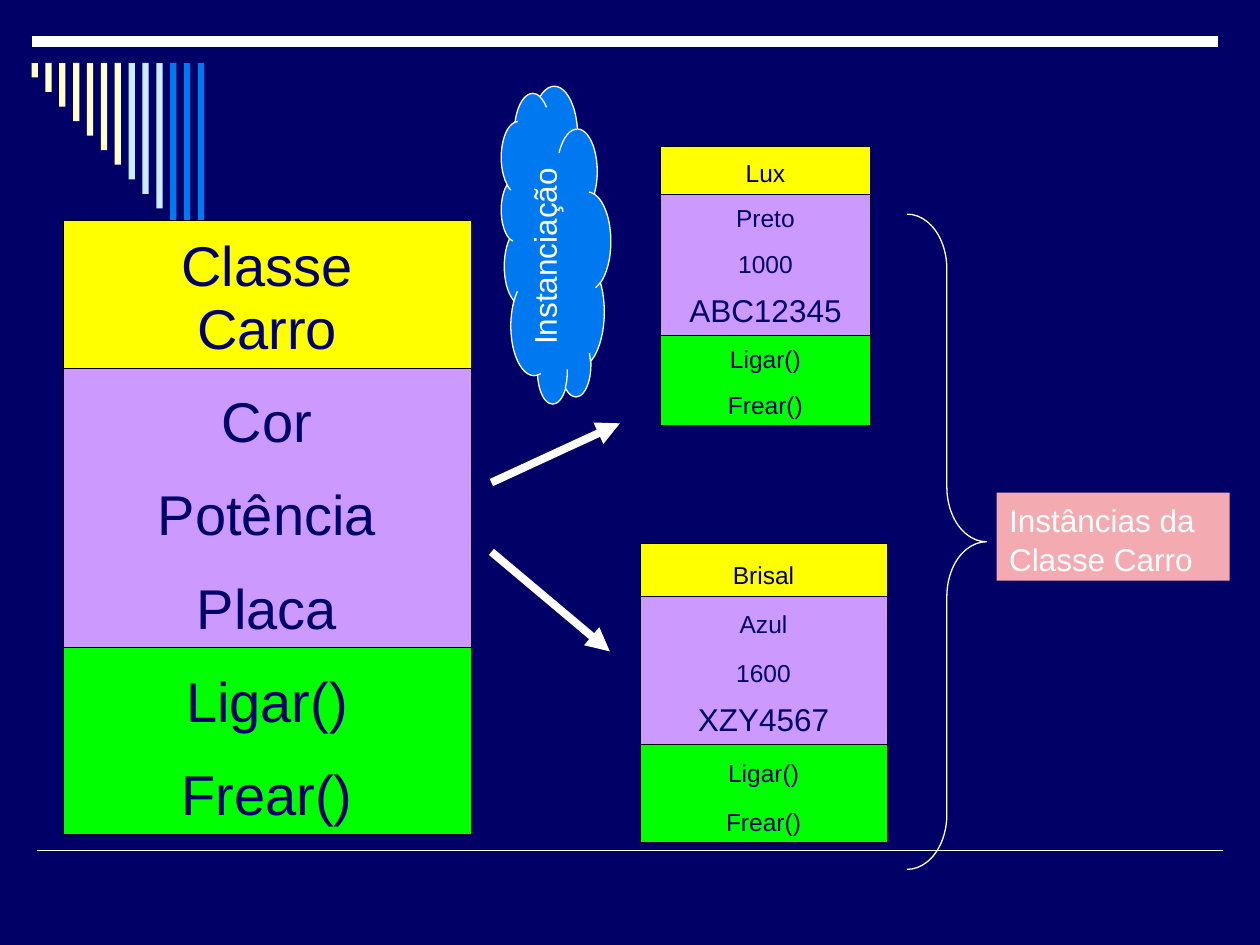
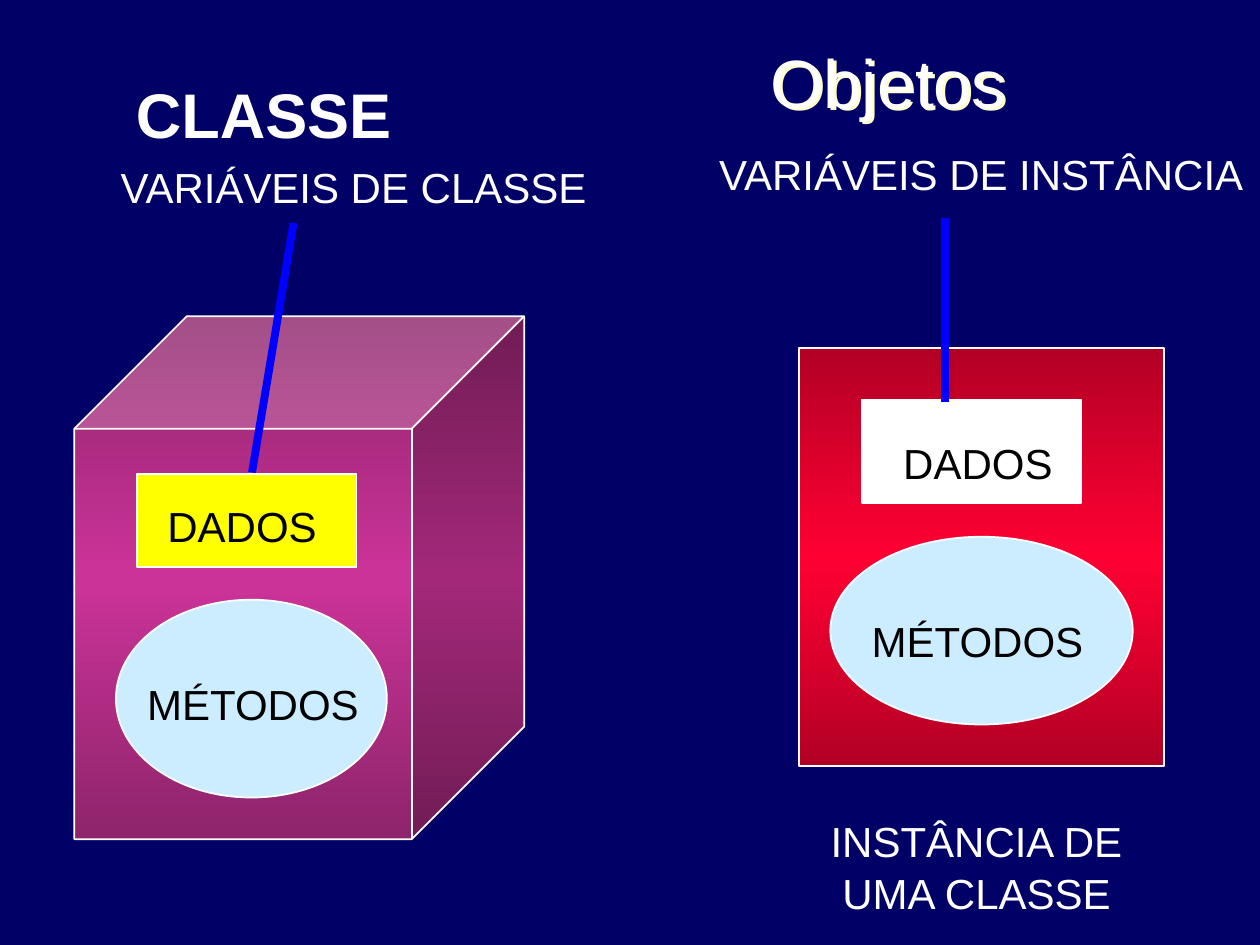
from dataclasses import dataclass

from lxml import etree
from pptx import Presentation
from pptx import util as u
from pptx.dml.color import RGBColor
from pptx.enum import shapes, text
from pptx.oxml import ns

Inches = u.Inches
Preset = shapes.MSO_SHAPE


@dataclass(frozen=True)
class Theme:
    font: str = "Arial"
    navy: str = "000066"
    white: str = "FFFFFF"
    black: str = "000000"
    cream: str = "FFFFCC"
    ice: str = "CCECFF"
    azure: str = "0078F0"
    blue: str = "0000FF"
    yellow: str = "FFFF00"
    lilac: str = "CC99FF"
    green: str = "00FF00"
    pink: str = "F4AAB1"
    magenta: tuple = ("8E246B", "CC3399", "8E246B")
    red: tuple = ("B20024", "FF0033", "B20024")
    title: int = 39
    heading: int = 36
    class_row: int = 32
    label: int = 24
    body: int = 18
    small: int = 14
    thin: float = 1
    hairline: float = 0.75
    thick: float = 4.5


THEME = Theme()


def rgb(value):
    return RGBColor.from_string(value)


def add_xml(parent, tag, **attributes):
    return etree.SubElement(parent, ns.qn(tag), {k: str(v) for k, v in attributes.items()})


def write(frame, content, *, size=THEME.label, color=THEME.white, bold=False,
          align=text.PP_ALIGN.LEFT, anchor=text.MSO_ANCHOR.TOP, wrap=True, spacing=1.05):
    frame.word_wrap = wrap
    frame.vertical_anchor = anchor
    for index, line in enumerate(content.split("\n")):
        paragraph = frame.add_paragraph() if index else frame.paragraphs[0]
        paragraph.alignment = align
        paragraph.line_spacing = spacing
        run = paragraph.add_run()
        run.text = line
        run.font.name = THEME.font
        run.font.size = u.Pt(size)
        run.font.bold = bold
        run.font.color.rgb = rgb(color)


class Deck:
    def __init__(self, theme):
        self.theme = theme
        self.presentation = Presentation()
        self.presentation.slide_width = Inches(10)
        self.presentation.slide_height = Inches(7.5)
        self.slide = None

    def new_slide(self):
        self.slide = self.presentation.slides.add_slide(self.presentation.slide_layouts[6])
        background = self.slide.background.fill
        background.solid()
        background.fore_color.rgb = rgb(self.theme.navy)

    def shape(self, preset, box, fill=None, line=None, weight=THEME.thin):
        item = self.slide.shapes.add_shape(preset, *map(Inches, box))
        item.shadow.inherit = False
        if fill is None:
            item.fill.background()
        elif isinstance(fill, tuple):
            self.gradient(item, fill)
        else:
            item.fill.solid()
            item.fill.fore_color.rgb = rgb(fill)
        if line:
            item.line.color.rgb = rgb(line)
            item.line.width = u.Pt(weight)
        else:
            item.line.fill.background()
        return item

    def gradient(self, item, colors):
        item.fill.gradient()
        item.fill.gradient_angle = 270
        stops = item._element.spPr.find(".//" + ns.qn("a:gsLst"))
        for stop in list(stops):
            stops.remove(stop)
        for index, color in enumerate(colors):
            stop = add_xml(stops, "a:gs", pos=100000 * index // (len(colors) - 1))
            add_xml(stop, "a:srgbClr", val=color)

    def line(self, start, end, color=THEME.white, weight=THEME.thin, arrow=False):
        item = self.slide.shapes.add_connector(
            shapes.MSO_CONNECTOR.STRAIGHT, *map(Inches, start + end))
        item.line.color.rgb = rgb(color)
        item.line.width = u.Pt(weight)
        if arrow:
            add_xml(item.line._get_or_add_ln(), "a:tailEnd", type="triangle")
        add_xml(item._element.spPr, "a:effectLst")

    def label(self, content, box, **style):
        item = self.slide.shapes.add_textbox(*map(Inches, box))
        write(item.text_frame, content, **style)
        return item

    def text_shadow(self, item, color):
        effects = add_xml(item._element.spPr, "a:effectLst")
        shadow = add_xml(effects, "a:outerShdw", dist=Inches(0.03), dir=2700000, algn="ctr")
        add_xml(shadow, "a:srgbClr", val=color)

    def class_card(self, box, heights, sections, sizes):
        rows = [(content, fill, i == 0, i == len(group) - 1)
                for fill, group in sections for i, content in enumerate(group)]
        grid = self.slide.shapes.add_table(len(rows), 1, *map(Inches, box)).table
        grid.first_row = grid.horz_banding = False
        for index, (content, fill, first, last) in enumerate(rows):
            grid.rows[index].height = Inches(heights[index])
            cell = grid.cell(index, 0)
            write(cell.text_frame, content, size=sizes[index], color=self.theme.navy,
                  align=text.PP_ALIGN.CENTER, spacing=1.0)
            cell.vertical_anchor = text.MSO_ANCHOR.BOTTOM
            self.borders(cell, L=True, R=True, T=first, B=last)
            cell.fill.solid()
            cell.fill.fore_color.rgb = rgb(fill)

    def borders(self, cell, **edges):
        properties = cell._tc.get_or_add_tcPr()
        for edge, visible in edges.items():
            border = add_xml(properties, f"a:ln{edge}", w=u.Pt(0.45))
            if visible:
                add_xml(add_xml(border, "a:solidFill"), "a:srgbClr", val=self.theme.black)
            else:
                add_xml(border, "a:noFill")


def frame_slide(deck):
    theme = deck.theme
    deck.line((0.29, 6.75), (9.71, 6.75))
    deck.line((0.25, 0.33), (9.67, 0.33), weight=6)
    bar_colors = [theme.cream] * 7 + [theme.ice] * 3 + [theme.azure] * 3
    for index, color in enumerate(bar_colors):
        height = 1.5 * (index + 1) / len(bar_colors)
        deck.shape(Preset.RECTANGLE, (0.25 + 0.11 * index, 0.5, 0.05, height), color)


def instantiation_slide(deck):
    theme = deck.theme
    deck.new_slide()
    frame_slide(deck)

    instance_sizes = [theme.small] * 3 + [theme.body] + [theme.small] * 2
    cards = [
        ((0.5, 1.75, 3.24, 4.87), [1.17] + [0.74] * 5, "Classe\nCarro",
         ["Cor", "Potência", "Placa"], [theme.class_row] * 6),
        ((5.24, 1.16, 1.67, 2.22), [0.38, 0.36, 0.36, 0.4, 0.36, 0.36], "Lux",
         ["Preto", "1000", "ABC12345"], instance_sizes),
        ((5.08, 4.31, 1.96, 2.4), [0.42, 0.39, 0.39, 0.4, 0.39, 0.39], "Brisal",
         ["Azul", "1600", "XZY4567"], instance_sizes),
    ]
    for box, heights, name, attributes, sizes in cards:
        sections = [(theme.yellow, [name]), (theme.lilac, attributes),
                    (theme.green, ["Ligar()", "Frear()"])]
        deck.class_card(box, heights, sections, sizes)

    deck.line((3.9, 3.83), (4.92, 3.36), weight=theme.thick, arrow=True)
    deck.line((3.9, 4.38), (4.84, 5.17), weight=theme.thick, arrow=True)

    brace = deck.shape(Preset.RIGHT_BRACE, (7.2, 1.7, 0.63, 5.2),
                       line=theme.white, weight=theme.hairline)
    brace.adjustments[0] = 0.69

    instances = deck.shape(Preset.RECTANGLE, (7.91, 3.91, 1.85, 0.7), theme.pink)
    write(instances.text_frame, "Instâncias da Classe Carro", size=theme.body)

    instantiation = deck.shape(Preset.CLOUD, (3.15, 1.51, 2.52, 0.87),
                               theme.azure, theme.white, theme.hairline)
    instantiation.rotation = 270
    write(instantiation.text_frame, "Instanciação", size=theme.body,
          align=text.PP_ALIGN.CENTER, wrap=False)


def members(deck, data_box, data_fill, data_at, methods_box, methods_at):
    theme = deck.theme
    deck.shape(Preset.RECTANGLE, data_box, data_fill, theme.white)
    deck.shape(Preset.OVAL, methods_box, theme.ice, theme.white)
    deck.label("DADOS", data_at + (1.39, 0.5), color=theme.black, wrap=False)
    deck.label("MÉTODOS", methods_at + (1.89, 0.5), color=theme.black, wrap=False)


def class_and_objects_slide(deck):
    theme = deck.theme
    deck.new_slide()

    objects_title = deck.label("Objetos", (6.02, 0, 2.81, 1.25), size=theme.title,
                               anchor=text.MSO_ANCHOR.MIDDLE)
    deck.text_shadow(objects_title, theme.cream)
    deck.label("CLASSE", (0.98, 0.52, 2.58, 0.7), size=theme.heading, bold=True)
    deck.label("VARIÁVEIS DE CLASSE", (0.86, 1.21, 3.93, 0.5), wrap=False)
    deck.label("VARIÁVEIS DE INSTÂNCIA", (5.61, 1.11, 4.39, 0.5), wrap=False)

    deck.shape(Preset.CUBE, (0.59, 2.51, 3.57, 4.15), theme.magenta, theme.white)
    members(deck, (1.09, 3.76, 1.74, 0.74), theme.yellow, (1.23, 3.9),
            (0.92, 4.76, 2.15, 1.57), (1.07, 5.32))

    deck.shape(Preset.RECTANGLE, (6.34, 2.76, 2.9, 3.32), theme.red, theme.white)
    members(deck, (6.84, 3.17, 1.74, 0.82), theme.white, (7.07, 3.4),
            (6.59, 4.26, 2.4, 1.49), (6.82, 4.82))
    deck.label("INSTÂNCIA DE\nUMA CLASSE", (6.48, 6.4, 2.54, 0.9),
               align=text.PP_ALIGN.CENTER, wrap=False)

    deck.line((2.33, 1.77), (2, 3.75), theme.blue, theme.thick)
    deck.line((7.5, 1.73), (7.5, 3.19), theme.blue, theme.thick)


def main():
    deck = Deck(THEME)
    instantiation_slide(deck)
    class_and_objects_slide(deck)
    deck.presentation.save("out.pptx")


if __name__ == "__main__":
    main()
